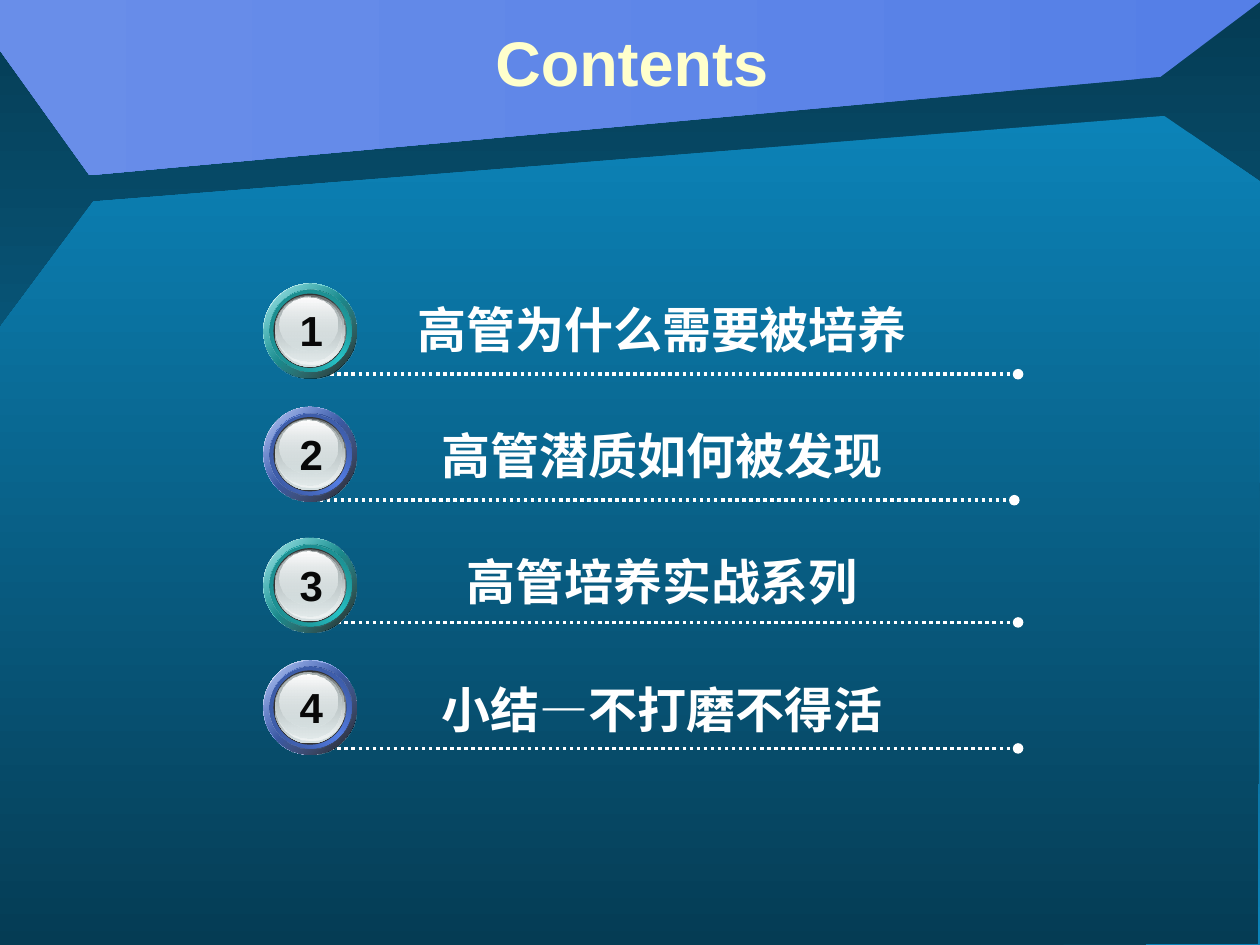
import pptx
import pptx.dml.color
import pptx.enum.dml
import pptx.enum.shapes
import pptx.enum.text
import pptx.oxml
import pptx.oxml.ns
import pptx.util
from lxml import etree
from pptx.util import Inches

COLORS = {
    "deep": "053C54", "ocean": "0C83B8", "blue": "557FE7", "pale_blue": "698EE9",
    "white": "FFFFFF", "cream": "FFFFCC", "ink": "080808", "black": "000000",
    "shine": "FEFEFE", "rim": "333333", "slate": "626768", "silver": "D6E1E2",
    "pearl": "EFF3F3", "grey": "A8B1B2",
    "teal": "28C4C8", "teal_dark": "15696B", "teal_mid": "197C7E",
    "blue_dark": "2D447C", "blue_mid": "355092",
}
TEAL = ("teal", "teal_dark", "teal_mid")
BLUE = ("blue", "blue_dark", "blue_mid")
AGENDA = [
    ("高管为什么需要被培养", TEAL, 2.25, 2.33, 2.97, 2.51),
    ("高管潜质如何被发现", BLUE, 3.23, 3.33, 3.97, 2.48),
    ("高管培养实战系列", TEAL, 4.27, 4.33, 4.94, 2.51),
    ("小结—不打磨不得活", BLUE, 5.24, 5.34, 5.94, 2.51),
]


def rgb(name):
    """Return the named colour as an RGBColor."""
    return pptx.dml.color.RGBColor.from_string(COLORS[name])


def add_xml(parent, tag, **attributes):
    """Append a DrawingML element to parent and return it."""
    return etree.SubElement(parent, pptx.oxml.ns.qn(tag), attributes)


def paint_gradient(fill, element, stops, angle):
    """Fill with (position, colour[, opacity]) stops at a clockwise angle."""
    fill.gradient()
    fill.gradient_angle = (360 - angle) % 360
    stop_list = element.find(".//" + pptx.oxml.ns.qn("a:gsLst"))
    for old_stop in list(stop_list):
        stop_list.remove(old_stop)
    for position, color, *opacity in stops:
        stop = add_xml(stop_list, "a:gs", pos=str(position * 1000))
        tint = add_xml(stop, "a:srgbClr", val=COLORS[color])
        for percent in opacity:
            add_xml(tint, "a:alpha", val=str(percent * 1000))


def style_surface(surface, stops, angle):
    """Give a shape a gradient, or a solid fill for a colour name, and no line."""
    surface.shadow.inherit = False
    surface.line.fill.background()
    if isinstance(stops, str):
        surface.fill.solid()
        surface.fill.fore_color.rgb = rgb(stops)
    else:
        paint_gradient(surface.fill, surface._element, stops, angle)


def add_text(slide, text, left, top, width, height, size, color, anchor="TOP"):
    """Add one centred bold line of text."""
    label = slide.shapes.add_textbox(Inches(left), Inches(top), Inches(width), Inches(height))
    frame = label.text_frame
    frame.word_wrap = True
    frame.vertical_anchor = pptx.enum.text.MSO_ANCHOR[anchor]
    paragraph = frame.paragraphs[0]
    paragraph.alignment = pptx.enum.text.PP_ALIGN.CENTER
    run = paragraph.add_run()
    run.text = text
    run.font.name = "Arial"
    run.font.size = pptx.util.Pt(size)
    run.font.bold = True
    run.font.color.rgb = rgb(color)


def add_panel(slide, left, top, corners, stops, angle):
    """Add a gradient polygon whose corners are relative to left and top."""
    points = [(Inches(left + x), Inches(top + y)) for x, y in corners]
    builder = slide.shapes.build_freeform(*points[0], scale=1.0)
    builder.add_line_segments(points[1:], close=True)
    style_surface(builder.convert_to_shape(), stops, angle)


def add_backdrop(slide):
    """Paint the background and the large lower panel."""
    paint_gradient(slide.background.fill, slide._element,
                   [(0, "deep"), (100, "ocean")], 90)
    corners = [(0.75, 0.68), (9.25, 0), (10.01, 0.52), (9.99, 6.57), (0, 6.6), (0, 1.69)]
    add_panel(slide, -0.01, 0.92, corners, [(0, "ocean"), (100, "deep")], 90)


def add_header(slide, left, top):
    """Add the slanted header band and its title."""
    corners = [(0, 0), (0, 0.4), (0.71, 1.39), (9.21, 0.61), (10.02, 0)]
    add_panel(slide, left, top, corners, [(0, "blue"), (100, "pale_blue")], 180)
    add_text(slide, "Contents", left + 0.78, top + 0.07, 8.47, 0.84,
             size=36, color="cream", anchor="MIDDLE")


def add_rule(slide, left, top, width):
    """Add a dotted rule that ends in a round dot."""
    rule = slide.shapes.add_connector(
        pptx.enum.shapes.MSO_CONNECTOR.STRAIGHT,
        Inches(left), Inches(top), Inches(left + width), Inches(top))
    rule.line.color.rgb = rgb("white")
    rule.line.width = pptx.util.Pt(2)
    rule.line.dash_style = pptx.enum.dml.MSO_LINE.ROUND_DOT
    add_xml(rule.line._get_or_add_ln(), "a:tailEnd", type="oval")
    add_xml(rule._element.spPr, "a:effectLst")


def add_badge(slide, number, left, top, ring_colors):
    """Add a glossy numbered button made of stacked ellipses."""
    main, dark, mid = ring_colors
    ring, bevel = (0, 0, 0.74, 0.75), (0.05, 0.05, 0.65, 0.65)
    layers = [
        (ring, [(0, "shine"), (50, main), (100, "shine")], 225),
        (ring, [(0, "black", 90), (100, main, 32)], 225),
        (bevel, [(0, dark), (50, main), (100, dark)], 135),
        (bevel, [(0, main, 0), (100, mid)], 225),
        ((0.08, 0.08, 0.58, 0.59), "rim", 0),
        ((0.09, 0.09, 0.56, 0.57), [(0, "slate"), (100, "silver")], 90),
        ((0.1, 0.09, 0.55, 0.55), [(0, "silver", 0), (100, "pearl")], 90),
        ((0.1, 0.1, 0.52, 0.52), [(0, "grey"), (100, "silver", 48)], 90),
        ((0.13, 0.11, 0.46, 0.42), [(0, "shine"), (100, "silver", 38)], 90),
    ]
    button = slide.shapes.add_group_shape()
    for (x, y, width, height), stops, angle in layers:
        disc = button.shapes.add_shape(
            pptx.enum.shapes.MSO_SHAPE.OVAL, Inches(left + x), Inches(top + y),
            Inches(width), Inches(height))
        style_surface(disc, stops, angle)
    add_text(slide, str(number), left + 0.17, top + 0.12, 0.42, 0.5, size=24, color="ink")


def add_agenda(slide, left):
    """Add the numbered agenda rows to the right of left."""
    for number, row in enumerate(AGENDA, 1):
        topic, ring_colors, badge_top, topic_top, rule_top, rule_left = row
        add_rule(slide, rule_left, rule_top, 5.57)
        add_badge(slide, number, left, badge_top, ring_colors)
        add_text(slide, topic, left + 0.75, topic_top, 4.83, 0.57, size=28, color="white")


def main():
    """Build and save the contents slide."""
    deck = pptx.Presentation()
    deck.slide_width, deck.slide_height = Inches(10), Inches(7.5)
    slide = deck.slides.add_slide(deck.slide_layouts[6])
    add_backdrop(slide)
    add_header(slide, 0, 0)
    add_agenda(slide, 2.09)
    deck.save("out.pptx")


if __name__ == "__main__":
    main()
